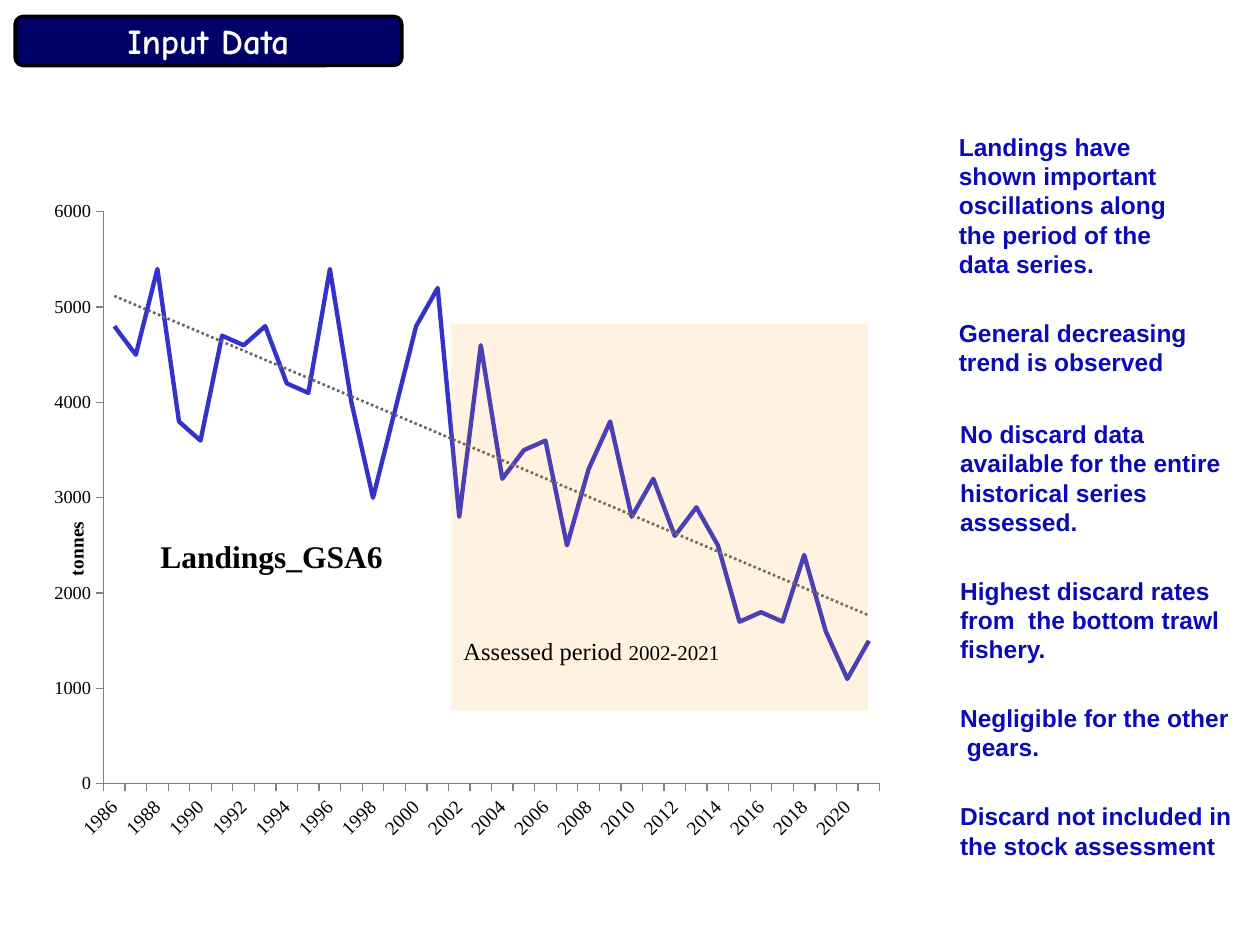
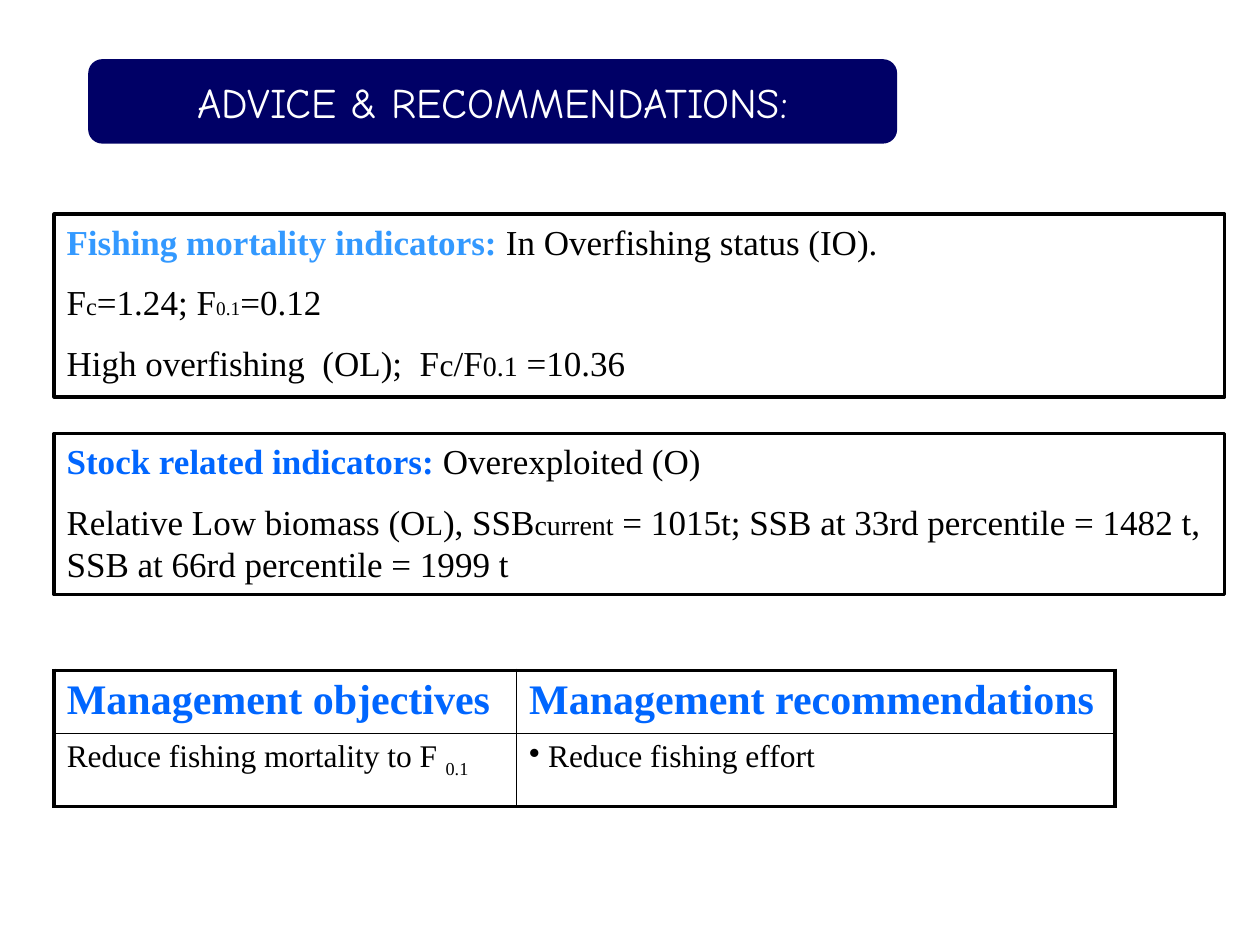
import dataclasses
import typing

import pptx
import pptx.chart.data
import pptx.dml.color
import pptx.enum.chart
import pptx.enum.shapes
import pptx.enum.text
import pptx.oxml
import pptx.oxml.ns
import pptx.util

COLS, ROWS = 100, 75
NAVY, BLACK, WHITE = "000066", "000000", "FFFFFF"
INK, BLUE, SKY = "0B0BB5", "0066FF", "3399FF"
SANS, COMIC, SERIF = "Arial", "Comic Neue", "Times New Roman"
KIND = pptx.enum.shapes.MSO_SHAPE
ANCHOR = pptx.enum.text.MSO_ANCHOR
ALIGN = pptx.enum.text.PP_ALIGN
Pt = pptx.util.Pt

deck = pptx.Presentation()
deck.slide_width = pptx.util.Inches(10)
deck.slide_height = pptx.util.Inches(7.5)


class Box(typing.NamedTuple):
    col: float
    row: float
    wide: float
    high: float


@dataclasses.dataclass
class Bit:
    text: str
    size: float = 20
    hue: str = BLACK
    bold: bool = False
    face: str = SERIF
    base: int = 0


@dataclasses.dataclass
class Note:
    box: Box
    lines: list[str]
    inset: float


@dataclasses.dataclass
class Panel:
    box: Box
    lines: list[list[Bit]]


def across(cols: float) -> int:
    return round(deck.slide_width * cols / COLS)


def down(rows: float) -> int:
    return round(deck.slide_height * rows / ROWS)


def area(box: Box) -> tuple[int, int, int, int]:
    return across(box.col), down(box.row), across(box.wide), down(box.high)


def apply(item: typing.Any, form: dict[str, typing.Any]) -> None:
    for name, value in form.items():
        setattr(item, name, value)


def color(code: str) -> pptx.dml.color.RGBColor:
    return pptx.dml.color.RGBColor.from_string(code)


def paint(fill: typing.Any, code: str) -> None:
    fill.solid()
    fill.fore_color.rgb = color(code)


def tag(name: str) -> str:
    return pptx.oxml.ns.qn(name)


def node(xml: str, space: str) -> typing.Any:
    head, tail = xml.split(">", 1)
    end = "/" if head.endswith("/") else ""
    start = head.rstrip("/") + " " + pptx.oxml.ns.nsdecls(*space.split())
    return pptx.oxml.parse_xml(start + end + ">" + tail)


def style(font: typing.Any, bit: Bit) -> None:
    apply(font, {"name": bit.face, "size": Pt(bit.size), "bold": bit.bold})
    font.color.rgb = color(bit.hue)


def write(frame: typing.Any, lines: list[list[Bit]], form: dict, gap: float = 0) -> None:
    for index, line in enumerate(lines):
        para = frame.add_paragraph() if index else frame.paragraphs[0]
        apply(para, form)
        para.space_before = Pt(gap if index else 0)
        for bit in line:
            run = para.add_run()
            run.text = bit.text
            style(run.font, bit)
            if bit.base:
                run._r.get_or_add_rPr().set("baseline", str(bit.base * 1000))


def block(slide: typing.Any, kind: typing.Any, box: Box, fill: str = "", line: float = 0) -> typing.Any:
    shape = slide.shapes.add_shape(kind, *area(box))
    shape.shadow.inherit = False
    if fill:
        paint(shape.fill, fill)
    else:
        shape.fill.background()
    if line:
        paint(shape.line.fill, BLACK)
        shape.line.width = Pt(line)
    else:
        shape.line.fill.background()
    shape.text_frame.word_wrap = True
    return shape


def start(box: Box, bit: Bit, line: float = 0) -> typing.Any:
    slide = deck.slides.add_slide(deck.slide_layouts[5])
    title = slide.shapes.title
    apply(title, dict(zip(("left", "top", "width", "height"), area(box))))
    band = block(slide, KIND.ROUNDED_RECTANGLE, box, NAVY, line)
    title.element.addprevious(band.element)
    apply(title.text_frame, {
        "vertical_anchor": ANCHOR.MIDDLE, "word_wrap": True,
        "auto_size": pptx.enum.text.MSO_AUTO_SIZE.NONE,
        "margin_top": 0, "margin_bottom": 0,
    })
    write(title.text_frame, [[bit]], {"alignment": ALIGN.CENTER})
    return slide


def jot(slide: typing.Any, note: Note) -> None:
    frame = slide.shapes.add_textbox(*area(note.box)).text_frame
    apply(frame, {"word_wrap": True, "margin_left": across(note.inset),
                  "margin_right": across(note.inset - 3.1)})
    lines = [[Bit(text, 14, INK, True, SANS)] for text in note.lines]
    write(frame, lines, {"line_spacing": Pt(16.7)}, 22.7)


def place(item: typing.Any, inner: bool, **parts: float) -> None:
    for old in item.findall(tag("c:layout")):
        item.remove(old)
    target = '<c:layoutTarget val="inner"/>' if inner else ""
    modes = "".join(f'<c:{key}Mode val="edge"/>' for key in "xy")
    spots = "".join(f'<c:{key} val="{value}"/>' for key, value in parts.items())
    layout = node(f"<c:layout><c:manualLayout>{target}{modes}{spots}"
                  "</c:manualLayout></c:layout>", "c")
    text = item.find(tag("c:tx"))
    if text is None:
        item.insert(0, layout)
    else:
        text.addnext(layout)


def plot(slide: typing.Any, box: Box, first: int, values: list[int]) -> None:
    data = pptx.chart.data.CategoryChartData()
    data.categories = [str(first + step) for step in range(len(values))]
    data.add_series("Series 1", values)
    kind = pptx.enum.chart.XL_CHART_TYPE.LINE
    chart = slide.shapes.add_chart(kind, *area(box), data).chart
    chart.has_legend = False
    style(chart.font, Bit("", 10))
    chart.plots[0].vary_by_categories = False
    series = chart.plots[0].series[0]
    series.smooth = False
    paint(series.format.line.fill, "3333CC")
    series.format.line.width = Pt(2.5)

    years, tons = chart.category_axis, chart.value_axis
    for axis, size in ((years, 11), (tons, 10.5)):
        apply(axis, {"major_tick_mark": pptx.enum.chart.XL_TICK_MARK.OUTSIDE,
                     "has_major_gridlines": False})
        style(axis.tick_labels.font, Bit("", size))
        paint(axis.format.line.fill, "808080")
    apply(tons, {"minimum_scale": 0, "maximum_scale": 6000, "major_unit": 1000})

    write(chart.chart_title.text_frame, [[Bit("Landings_GSA6", 18, bold=True)]], {})
    write(tons.axis_title.text_frame, [[Bit("tonnes", 11, bold=True)]], {})
    root = chart.element
    place(root.find(".//" + tag("c:plotArea")), True, x=0.08, y=0.04, w=0.91, h=0.86)
    place(root.find(tag("c:chart") + "/" + tag("c:title")), False, x=0.14, y=0.52)
    place(root.find(".//" + tag("c:valAx") + "/" + tag("c:title")), False, x=0.03, y=0.5)

    base = root.find(".//" + tag("c:catAx"))
    turn = base.find(".//" + tag("a:bodyPr"))
    apply_to = {"rot": "-2700000", "vert": "horz"}
    for name, value in apply_to.items():
        turn.set(name, value)
    last = base.find(tag("c:noMultiLvlLbl"))
    for name, step in (("tickLblSkip", 2), ("tickMarkSkip", 1)):
        last.addprevious(node(f'<c:{name} val="{step}"/>', "c"))
    root.find(".//" + tag("c:cat")).addprevious(node(
        f'<c:trendline><c:spPr><a:ln w="{Pt(1.5)}"><a:solidFill><a:srgbClr val="666666"/>'
        '</a:solidFill><a:prstDash val="sysDot"/></a:ln></c:spPr>'
        '<c:trendlineType val="linear"/><c:dispRSqr val="0"/><c:dispEq val="0"/>'
        "</c:trendline>", "c a"))


def grid(slide: typing.Any, box: Box, wides: list[float], highs: list[float],
         cells: list[list[list[Bit]]]) -> typing.Any:
    table = slide.shapes.add_table(len(highs), len(wides), *area(box)).table
    for column, wide in zip(table.columns, wides):
        column.width = across(wide)
    for row, high in zip(table.rows, highs):
        row.height = down(high)
    for y, line in enumerate(cells):
        for x, bits in enumerate(line):
            cell = table.cell(y, x)
            cell.fill.background()
            write(cell.text_frame, [bits], {})
            outer = {"L": x == 0, "R": x == len(wides) - 1,
                     "T": y == 0, "B": y == len(highs) - 1}
            for index, (side, edge) in enumerate(outer.items()):
                cell._tc.get_or_add_tcPr().insert(index, node(
                    f'<a:ln{side} w="{Pt(2.25 if edge else 1)}"><a:solidFill>'
                    f'<a:srgbClr val="{BLACK}"/></a:solidFill></a:ln{side}>', "a"))
    return table


def bullet(para: typing.Any, cols: float) -> None:
    props = para._p.get_or_add_pPr()
    for name, value in (("marL", across(cols)), ("indent", -across(cols))):
        props.set(name, str(value))
    props.append(node('<a:buChar char="&#8226;"/>', "a"))


def input_slide() -> None:
    slide = start(Box(1.2, 1.3, 30.7, 3.9), Bit("Input Data", 20, WHITE, True, COMIC), 2)
    notes = [
        Note(Box(72, 10, 24.8, 26.5), [
            "Landings have shown important oscillations along the period of the data series.",
            "General decreasing trend is observed",
        ], 4.1),
        Note(Box(73.1, 32.8, 24.9, 37), [
            "No discard data available for the entire historical series assessed.",
            "Highest discard rates from  the bottom trawl fishery.",
            "Negligible for the other  gears.",
            "Discard not included in the stock assessment",
        ], 3.1),
    ]
    for note in notes:
        jot(slide, note)
    plot(slide, Box(2.8, 14.7, 67.7, 52.8), 1986, [
        4800, 4500, 5400, 3800, 3600, 4700, 4600, 4800, 4200, 4100, 5400, 4000,
        3000, 3900, 4800, 5200, 2800, 4600, 3200, 3500, 3600, 2500, 3300, 3800,
        2800, 3200, 2600, 2900, 2500, 1700, 1800, 1700, 2400, 1600, 1100, 1500,
    ])
    period = block(slide, KIND.RECTANGLE, Box(35.8, 25.7, 33.1, 30.7), "FF9900")
    tint = period.element.spPr.find(".//" + tag("a:srgbClr"))
    tint.append(node('<a:alpha val="12000"/>', "a"))
    apply(period.text_frame, {"vertical_anchor": ANCHOR.BOTTOM, "margin_bottom": down(3.6)})
    write(period.text_frame, [[Bit("Assessed period ", 14), Bit("2002-2021", 12)]],
          {"alignment": ALIGN.LEFT})


def advice_slide() -> None:
    slide = start(Box(7, 4.7, 64.2, 6.7),
                  Bit("ADVICE & RECOMMENDATIONS:", 24, WHITE, False, COMIC))
    panels = [
        Panel(Box(4.3, 17, 92.9, 14.5), [
            [Bit("Fishing mortality indicators: ", hue=SKY, bold=True),
             Bit("In Overfishing status (IO).")],
            [Bit("F"), Bit("c", 14), Bit("=1.24; F"), Bit("0.1", 11), Bit("=0.12")],
            [Bit("High overfishing  (OL);  F"), Bit("c", 18), Bit("/F"),
             Bit("0.1", 16), Bit(" =10.36")],
        ]),
        Panel(Box(4.3, 34.4, 92.9, 12.8), [
            [Bit("Stock related indicators: ", hue=BLUE, bold=True),
             Bit("Overexploited (O)")],
            [Bit("Relative Low biomass (O"), Bit("L", 16), Bit("), SSB"),
             Bit("current", 16),
             Bit(" = 1015t; SSB at 33rd percentile = 1482 t, SSB at 66rd percentile = 1999 t")],
        ]),
    ]
    for panel in panels:
        shape = block(slide, KIND.RECTANGLE, panel.box, line=2)
        shape.text_frame.vertical_anchor = ANCHOR.TOP
        write(shape.text_frame, panel.lines, {"alignment": ALIGN.LEFT}, 10.5)
    heads = [[Bit(f"Management {word}", 24, BLUE, True)]
             for word in ("objectives", "recommendations")]
    goals = [[Bit("Reduce fishing mortality to F ", 18), Bit("0.1", 18, base=-25)],
             [Bit("Reduce fishing effort", 18)]]
    table = grid(slide, Box(4.3, 53.2, 84.2, 10.8), [36.7, 47.5], [5, 5.8], [heads, goals])
    bullet(table.cell(1, 1).text_frame.paragraphs[0], 1.5)


input_slide()
advice_slide()
deck.save("out.pptx")
